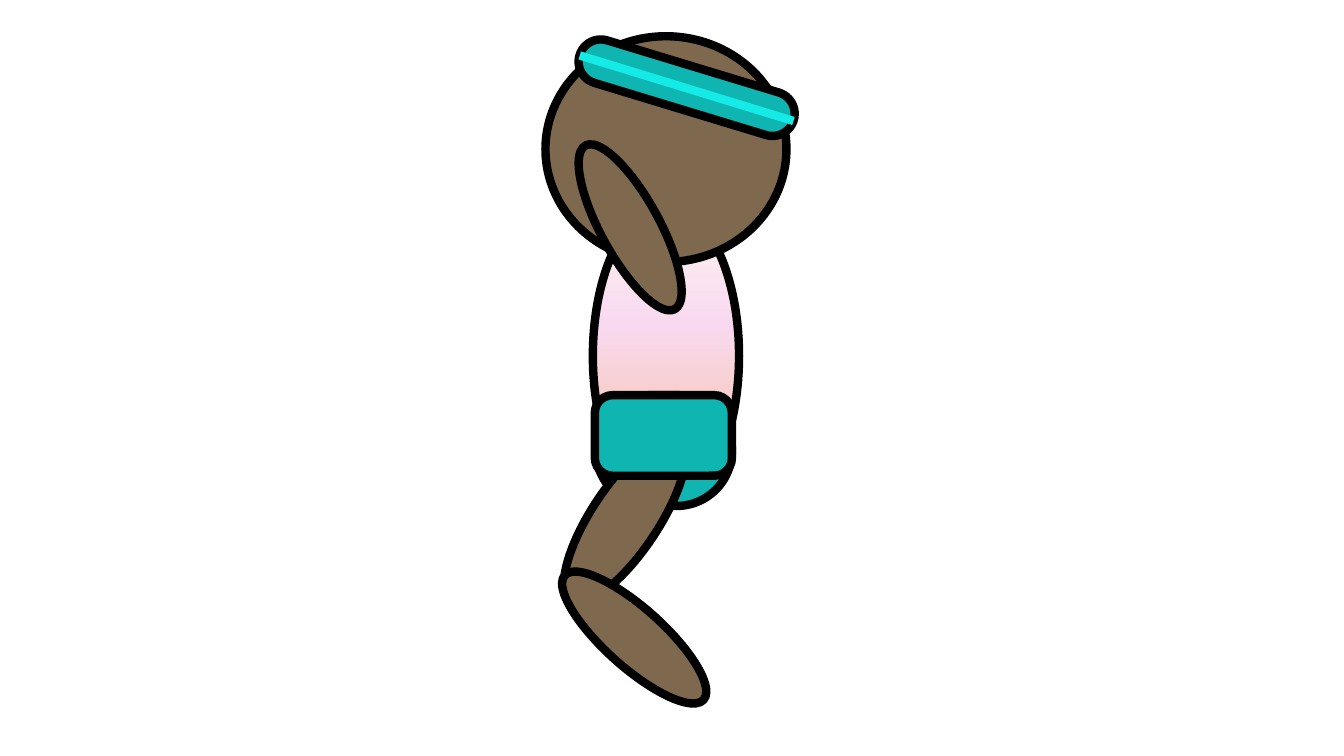
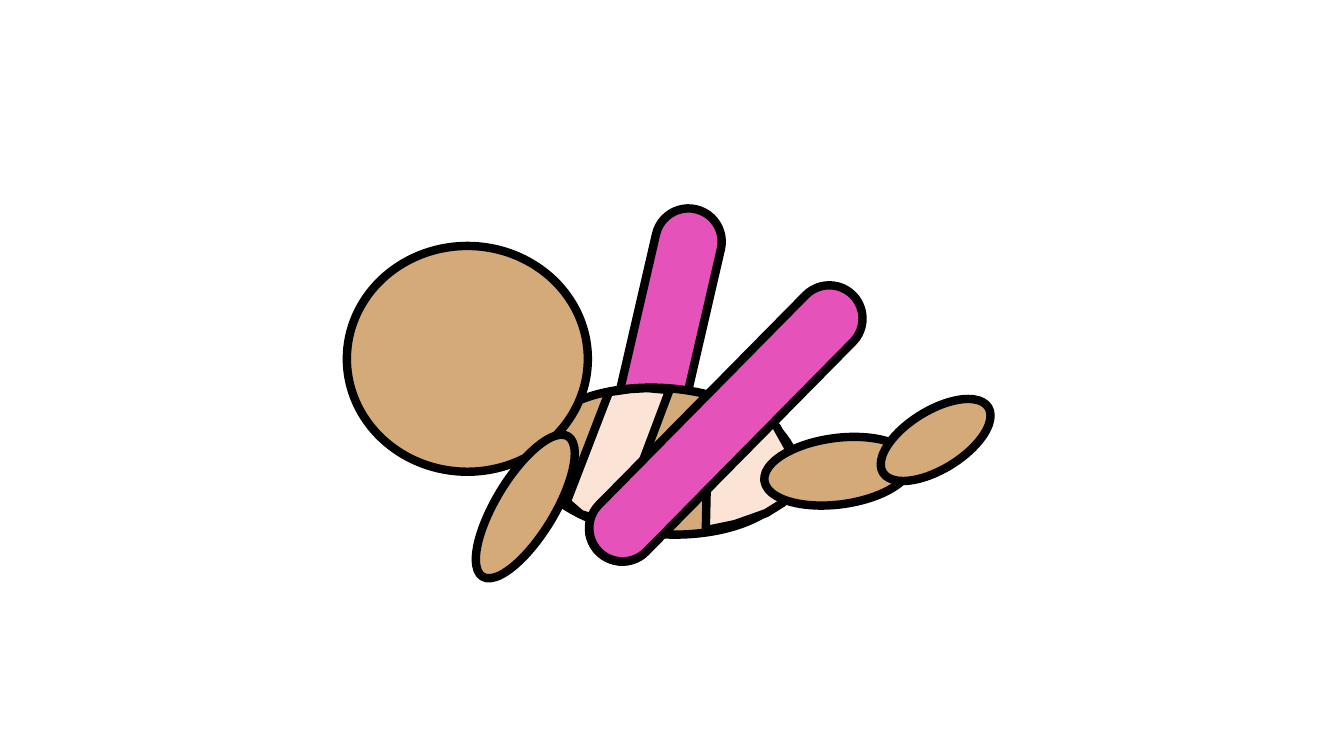
from dataclasses import dataclass
from typing import Any

from lxml import etree
from pptx import Presentation
from pptx.dml.color import RGBColor
from pptx.enum.shapes import MSO_CONNECTOR, MSO_SHAPE
from pptx.oxml.ns import qn
from pptx.util import Inches, Pt

OVAL = MSO_SHAPE.OVAL
ROUND = MSO_SHAPE.ROUNDED_RECTANGLE
STRAIGHT = MSO_CONNECTOR.STRAIGHT

BLACK = RGBColor(0x00, 0x00, 0x00)
BROWN = RGBColor(0x7E, 0x69, 0x4E)
TAN = RGBColor(0xD4, 0xAA, 0x78)
TEAL = RGBColor(0x0F, 0xB5, 0xB1)
AQUA = RGBColor(0x15, 0xEB, 0xE6)
PINK = RGBColor(0xE4, 0x52, 0xBA)
PEACH = RGBColor(0xFB, 0xE3, 0xD6)
CREAM = RGBColor(0xFE, 0xF5, 0xF0)
LILAC = RGBColor(0xF9, 0xD9, 0xF0)
CORAL = RGBColor(0xF6, 0xC6, 0xAD)
SHIRT = ((0, CREAM), (40, LILAC), (83, CORAL), (100, CORAL))

LINE = Pt(6)
HEAD = (2.39, 2.24)
POLE = (3.58, 0.66)


@dataclass
class Figure:
    """Draws pieces in inches, measured from the figure's left and top."""
    shapes: Any
    left: float
    top: float

    def spot(self, x, y):
        return Inches(self.left + x), Inches(self.top + y)

    def piece(self, kind, spot, size, color, turn=0, curve=0.5):
        width, height = size
        shape = self.shapes.add_shape(
            kind, *self.spot(*spot), Inches(width), Inches(height))
        shape.rotation = turn
        if kind == ROUND:
            shape.adjustments[0] = curve
        return paint(shape, color)

    def panel(self, points, color):
        first, *rest = [self.spot(*point) for point in points]
        pen = self.shapes.build_freeform(*first)
        pen.add_line_segments(rest, close=True)
        return paint(pen.convert_to_shape(), color)

    def stripe(self, start, end, color):
        line = self.shapes.add_connector(
            STRAIGHT, *self.spot(*start), *self.spot(*end))
        line.line.color.rgb = color
        line.line.width = LINE
        etree.SubElement(line._element.spPr, qn("a:effectLst"))


def paint(shape, color):
    shape.shadow.inherit = False
    shape.fill.solid()
    shape.fill.fore_color.rgb = color
    shape.line.color.rgb = BLACK
    shape.line.width = LINE
    return shape


def blend(shape, stops):
    """Fill from top to bottom with (percent, colour) stops."""
    shape.fill.gradient()
    shape.fill.gradient_angle = 270
    items = shape._element.spPr.find(qn("a:gradFill")).find(qn("a:gsLst"))
    for item in list(items):
        items.remove(item)
    for percent, color in stops:
        stop = etree.SubElement(items, qn("a:gs"), pos=str(percent * 1000))
        etree.SubElement(stop, qn("a:srgbClr"), val=str(color))


def draw_upright(slide, left, top):
    fig = Figure(slide.shapes, left, top)
    torso = fig.piece(OVAL, (0.47, 1.68), (1.45, 2.98), CREAM)
    blend(torso, SHIRT)
    fig.piece(ROUND, (0.5, 3.56), (1.35, 1.1), TEAL)
    fig.piece(OVAL, (0, 0), HEAD, BROWN)
    fig.piece(ROUND, (0.29, 0.29), (2.22, 0.44), TEAL, 16.9)
    fig.stripe((0.34, 0.19), (2.46, 0.84), AQUA)
    limb = (0.58, 1.85)
    fig.piece(OVAL, (0.46, 3.81), (0.66, 1.95), BROWN, 33.6)
    fig.piece(OVAL, (0.59, 5.04), limb, BROWN, 311.9)
    fig.piece(ROUND, (0.49, 3.56), (1.36, 0.8), TEAL, curve=0.22)
    fig.piece(OVAL, (0.55, 0.97), limb, BROWN, 151.4)


def draw_lying(slide, left, top):
    group = slide.shapes.add_group_shape()
    fig = Figure(group.shapes, left, top)
    fig.piece(ROUND, (1.27, 1.05), POLE, PINK, 283)
    fig.piece(OVAL, (2.41, 0.82), (1.45, 2.63), TAN, 274.1)
    fig.piece(OVAL, (0, 0), HEAD, TAN)
    fig.piece(OVAL, (1.48, 1.77), (0.58, 1.63), TAN, 31.3)
    hips = ((3.59, 1.48), (3.91, 1.6), (4.26, 1.79), (4.4, 2.04),
            (4.45, 2.17), (4.47, 2.33), (4.44, 2.43), (4.32, 2.55),
            (4.16, 2.65), (3.85, 2.76), (3.56, 2.82))
    chest = ((2.6, 1.45), (2.18, 2.54), (2.32, 2.66), (2.61, 2.75),
             (2.7, 2.76), (3.2, 1.43), (2.98, 1.41), (2.81, 1.42))
    for points in (hips, chest):
        fig.panel(points, PEACH)
    fig.piece(ROUND, (1.97, 1.43), POLE, PINK, 314.6)
    fig.piece(OVAL, (4.54, 1.5), (0.66, 1.47), TAN, 82.5)
    fig.piece(OVAL, (5.55, 1.31), (0.58, 1.23), TAN, 238.2)


def main():
    deck = Presentation()
    deck.slide_width, deck.slide_height = Inches(13.33), Inches(7.5)
    blank = deck.slide_layouts[6]
    draw_upright(deck.slides.add_slide(blank), 5.41, 0.36)
    draw_lying(deck.slides.add_slide(blank), 3.44, 2.44)
    deck.save("out.pptx")


if __name__ == "__main__":
    main()
